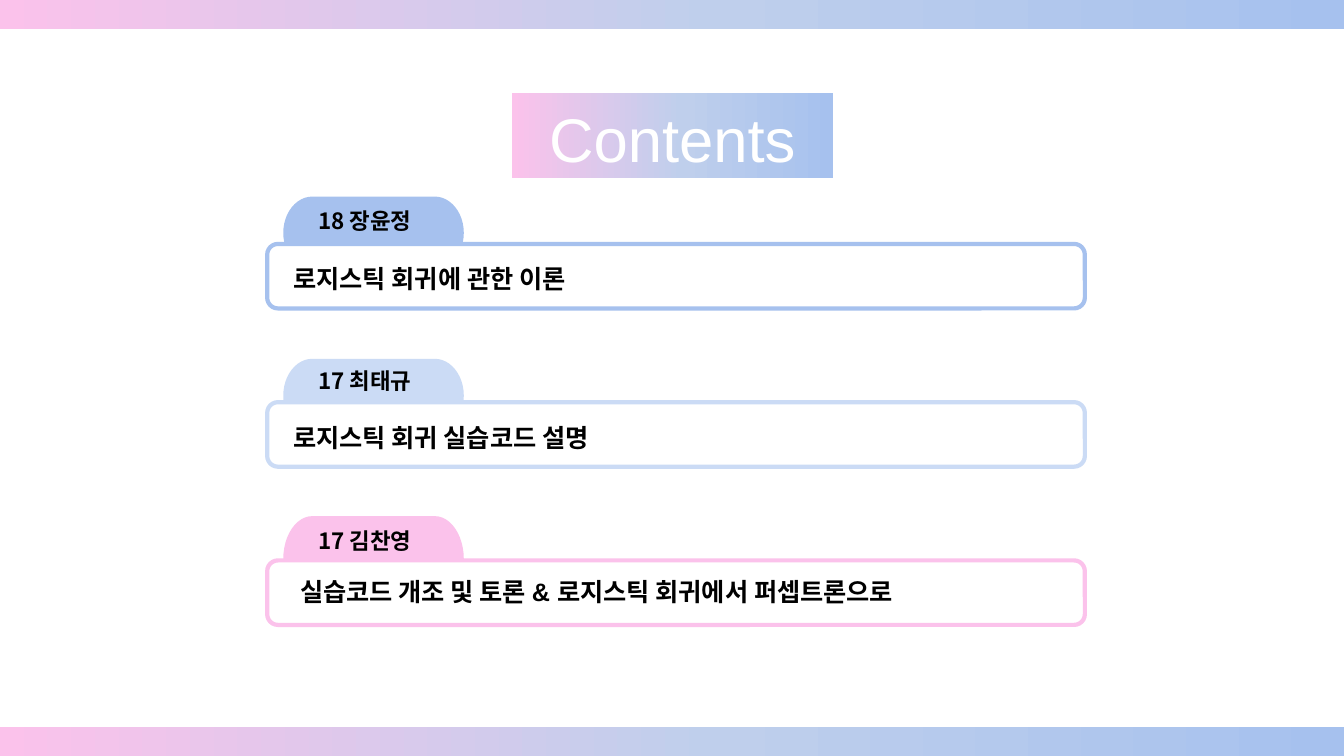
"""Build a contents slide with three tabbed agenda entries."""
from copy import deepcopy

from pptx import Presentation
from pptx.dml.color import RGBColor
from pptx.enum.shapes import MSO_SHAPE
from pptx.enum.text import PP_ALIGN
from pptx.oxml.ns import qn
from pptx.util import Emu, Pt

RECT = MSO_SHAPE.RECTANGLE
ROUNDED = MSO_SHAPE.ROUNDED_RECTANGLE
TAB = MSO_SHAPE.FLOWCHART_TERMINATOR
LEFT, CENTER = PP_ALIGN.LEFT, PP_ALIGN.CENTER

COLORS = {"pink": "FBC2EB", "mist": "BFCFEC", "blue": "A6C1EE",
          "pale": "CBDBF5", "white": "FFFFFF", "black": "000000"}
GRADIENT = [(0, "pink"), (0.53, "mist"), (1, "blue")]
LATIN, KOREAN = "Arial", "Noto Sans CJK KR"
EMU_PER_PX = 9144
PAGE_WIDTH, PAGE_HEIGHT, BAND_HEIGHT = 1333, 750, 29
TAB_LEFT, TAB_WIDTH = 281, 179
FRAME_LEFT, FRAME_WIDTH, FRAME_HEIGHT = 265, 811, 64

TITLE = "Contents"
ENTRIES = [
    {"color": "blue", "tab": (195, 72), "frame_top": 242,
     "name": "18 장윤정", "name_box": (306, 196, 138, 50),
     "topic": "로지스틱 회귀에 관한 이론", "topic_box": (281, 251, 495, 56), "inset": 10},
    {"color": "pale", "tab": (356, 73), "frame_top": 399,
     "name": "17 최태규", "name_box": (306, 354, 138, 50),
     "topic": "로지스틱 회귀 실습코드 설명", "topic_box": (281, 414, 433, 40), "inset": 5},
    {"color": "pink", "tab": (512, 85), "frame_top": 556,
     "name": "17 김찬영", "name_box": (306, 513, 147, 50),
     "topic": "실습코드 개조 및 토론 & 로지스틱 회귀에서 퍼셉트론으로",
     "topic_box": (288, 567, 764, 50), "inset": 5},
]


def px(*lengths):
    return [Emu(length * EMU_PER_PX) for length in lengths]


def rgb(name):
    return RGBColor.from_string(COLORS[name])


def add_panel(page, kind, bounds, fill=None, line=None):
    shape = page.shapes.add_shape(kind, *px(*bounds))
    shape.shadow.inherit = False
    if fill:
        shape.fill.solid()
        shape.fill.fore_color.rgb = rgb(fill)
    if line:
        shape.line.color.rgb = rgb(line)
        shape.line.width = Pt(3)
    else:
        shape.line.fill.background()
    return shape


def add_gradient_panel(page, bounds):
    shape = add_panel(page, RECT, bounds)
    shape.fill.gradient()
    shape.fill.gradient_angle = 0
    stop_list = shape._element.spPr.find(qn("a:gradFill")).find(qn("a:gsLst"))
    stop_list.append(deepcopy(stop_list[-1]))
    for stop, (position, color) in zip(shape.fill.gradient_stops, GRADIENT):
        stop.position = position
        stop.color.rgb = rgb(color)


def add_text(page, text, bounds, size, font, color="black", bold=True, align=LEFT, inset=5):
    box = page.shapes.add_textbox(*px(*bounds))
    frame = box.text_frame
    frame.word_wrap = True
    frame.margin_left, frame.margin_right = px(10, 10)
    frame.margin_top, frame.margin_bottom = px(inset, inset)
    para = frame.paragraphs[0]
    para.text = text
    para.alignment = align
    para.font.size = Pt(size)
    para.font.name = font
    para.font.bold = bold
    para.font.color.rgb = rgb(color)


def add_entry(page, entry):
    tab_top, tab_height = entry["tab"]
    add_panel(page, TAB, (TAB_LEFT, tab_top, TAB_WIDTH, tab_height), entry["color"])
    add_panel(page, ROUNDED, (FRAME_LEFT, entry["frame_top"], FRAME_WIDTH, FRAME_HEIGHT),
              "white", entry["color"])
    add_text(page, entry["name"], entry["name_box"], 16, KOREAN, inset=10)
    add_text(page, entry["topic"], entry["topic_box"], 18, LATIN, inset=entry["inset"])


def main():
    deck = Presentation()
    deck.slide_width, deck.slide_height = px(PAGE_WIDTH, PAGE_HEIGHT)
    page = deck.slides.add_slide(deck.slide_layouts[6])
    for band_top in (0, PAGE_HEIGHT - BAND_HEIGHT):
        add_gradient_panel(page, (0, band_top, PAGE_WIDTH, BAND_HEIGHT))
    add_gradient_panel(page, (508, 92, 318, 85))
    add_text(page, TITLE, (508, 95, 318, 84), 44, LATIN, "white", False, CENTER)
    for entry in ENTRIES:
        add_entry(page, entry)
    deck.save("out.pptx")


if __name__ == "__main__":
    main()
